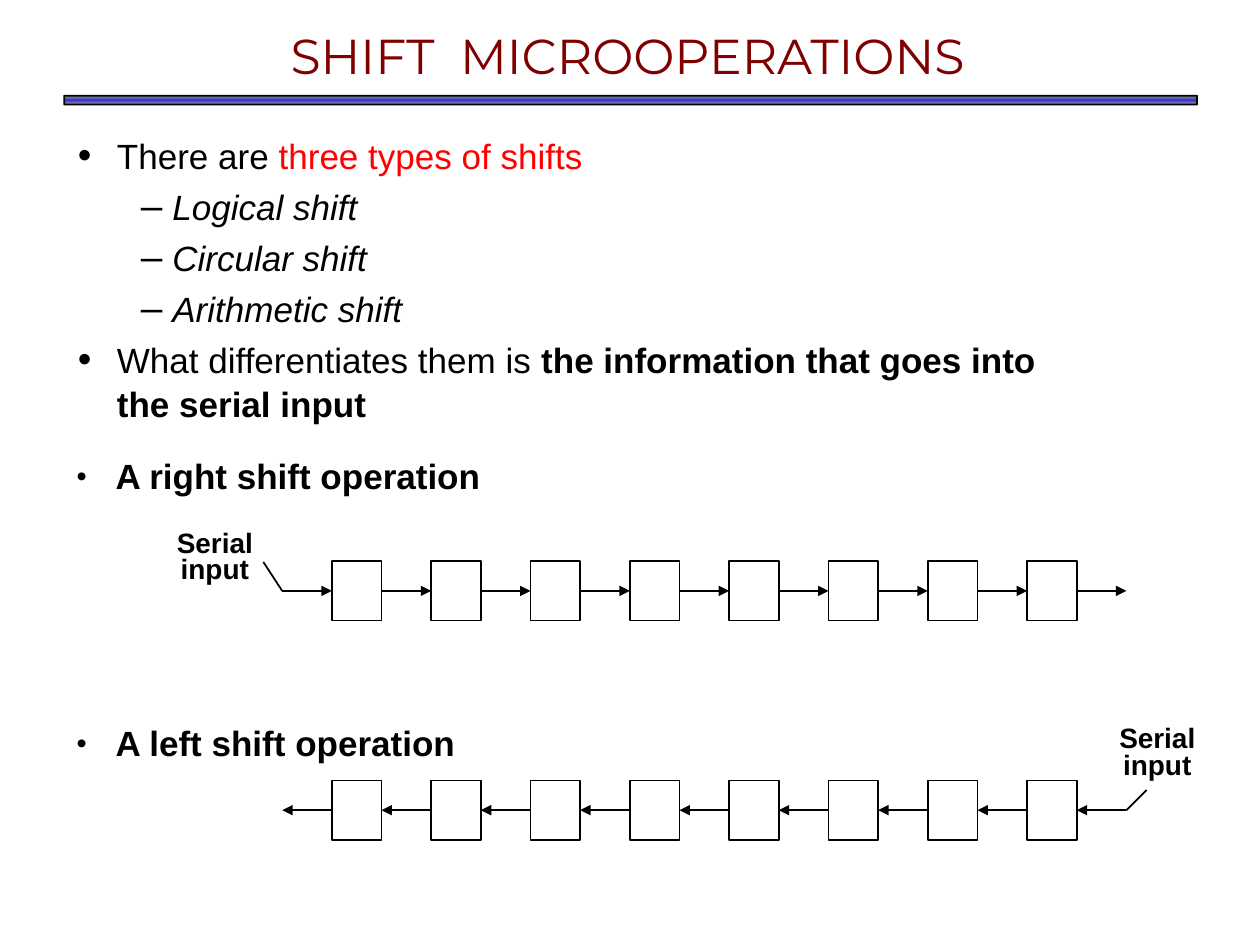
from copy import deepcopy

from lxml import etree
from pptx import Presentation
from pptx.dml.color import RGBColor
from pptx.enum.shapes import MSO_CONNECTOR, MSO_SHAPE
from pptx.enum.text import MSO_ANCHOR, MSO_AUTO_SIZE, PP_ALIGN
from pptx.oxml.ns import qn
from pptx.util import Inches, Pt

ROUNDED = MSO_SHAPE.ROUNDED_RECTANGLE
STRAIGHT = MSO_CONNECTOR.STRAIGHT
TOP, NO_FIT = MSO_ANCHOR.TOP, MSO_AUTO_SIZE.NONE
LEFT, CENTER = PP_ALIGN.LEFT, PP_ALIGN.CENTER
color = RGBColor.from_string


def write(frame, paragraphs, size=20, font="Arial", align=LEFT, spacing=1.0, before=0,
          bullet_size=100, wrap=True, inset=(0.1, 0.05)):
    """Each paragraph is (runs, bullet, indent, hanging); each run is (text, colour, bold, italic)."""
    frame.word_wrap, frame.auto_size, frame.vertical_anchor = wrap, NO_FIT, TOP
    frame.margin_left = frame.margin_right = Inches(inset[0])
    frame.margin_top = frame.margin_bottom = Inches(inset[1])
    for number, (runs, bullet, indent, hanging) in enumerate(paragraphs):
        paragraph = frame.add_paragraph() if number else frame.paragraphs[0]
        paragraph.alignment = align
        paragraph.line_spacing = spacing
        paragraph.space_before = Pt(before if number else 0)
        for text, ink, bold, italic in runs:
            run = paragraph.add_run()
            run.text = text
            run.font.size, run.font.name = Pt(size), font
            run.font.bold, run.font.italic = bold, italic
            run.font.color.rgb = color(ink)
        if bullet:
            props = paragraph._p.get_or_add_pPr()
            props.set("marL", str(Inches(indent)))
            props.set("indent", str(-Inches(hanging)))
            etree.SubElement(props, qn("a:buSzPct")).set("val", str(bullet_size * 1000))
            etree.SubElement(props, qn("a:buFont")).set("typeface", font)
            etree.SubElement(props, qn("a:buChar")).set("char", bullet)


def connect(start, end, arrow=True):
    wire = slide.shapes.add_connector(STRAIGHT, *map(Inches, start + end))
    wire.line.color.rgb = color("000000")
    wire.line.width = Pt(1)
    props = wire._element.spPr
    if arrow:
        etree.SubElement(props.find(qn("a:ln")), qn("a:tailEnd")).set("type", "triangle")
    etree.SubElement(props, qn("a:effectLst"))


deck = Presentation()
deck.slide_width, deck.slide_height = Inches(10), Inches(7.5)
slide = deck.slides.add_slide(deck.slide_layouts[5])

# Title and the bar below it
title = slide.shapes.title
title.left, title.top, title.width, title.height = map(Inches, (0.49, 0.17, 8.98, 0.37))
write(title.text_frame, [([("SHIFT  MICROOPERATIONS", "800000", False, False)], None, 0, 0)],
      size=28, font="Montserrat", align=CENTER, inset=(0.07, 0.03))

bar = slide.shapes.add_shape(ROUNDED, *map(Inches, (0.51, 0.76, 8.99, 0.07)))
bar.adjustments[0] = 0.03
bar.shadow.inherit = False
bar.line.color.rgb = color("000000")
bar.line.width = Pt(1)
bar.fill.gradient()
bar.fill.gradient_angle = 90
edge, middle = bar.fill.gradient_stops
edge.color.rgb, middle.color.rgb = color("969696"), color("3333CC")
middle.position = 0.5
stops = bar._element.spPr.find(qn("a:gradFill")).find(qn("a:gsLst"))
stops.append(deepcopy(stops[0]))
stops[-1].set("pos", "100000")

# Types of shifts
shift_types = [([(f"{kind} shift", "000000", False, True)], "–", 0.75, 0.25)
               for kind in ("Logical", "Circular", "Arithmetic")]
overview = [
    ([("There are ", "000000", False, False),
      ("three types of shifts", "FF0000", False, False)], "•", 0.31, 0.31),
    *shift_types,
    ([("What differentiates them is ", "000000", False, False),
      ("the information that goes into the serial input", "000000", True, False)],
     "•", 0.31, 0.31),
]
types_box = slide.shapes.add_textbox(*map(Inches, (0.52, 1, 8.1, 2.59)))
write(types_box.text_frame, overview, spacing=1.05, before=3.9, bullet_size=111)

# Headings of the two operations
operations = [([(f"A {side} shift operation", "000000", True, False)], "•", 0.31, 0.31)
              for side in ("right", "left")]
operations_box = slide.shapes.add_textbox(*map(Inches, (0.51, 3.59, 5, 2.5)))
write(operations_box.text_frame, operations, spacing=0.93, before=130, bullet_size=83)

# Registers: 17 equal columns, arrows in the even ones and bits in the odd ones
COLUMNS, ROW_LEFT, ROW_RIGHT, BIT_HEIGHT = 17, 2.24, 8.94, 0.47
COLUMN = (ROW_RIGHT - ROW_LEFT) / COLUMNS
serial_input = [([(word, "000000", True, False)], None, 0, 0) for word in ("Serial", "input")]

# Row middle, arrows point right, where the serial input enters, its outer end, label corner
registers = [
    (4.69, True, ROW_LEFT, (2.09, 4.46), (1.3, 4.17)),
    (6.43, False, ROW_RIGHT, (9.1, 6.27), (8.78, 5.72)),
]
for middle_y, rightward, entry, outer_end, label_corner in registers:
    for column in range(COLUMNS):
        x = ROW_LEFT + column * COLUMN
        if column % 2:
            bit = slide.shapes.add_shape(ROUNDED, Inches(x), Inches(middle_y - BIT_HEIGHT / 2),
                                         Inches(COLUMN), Inches(BIT_HEIGHT))
            bit.adjustments[0] = 0
            bit.shadow.inherit = False
            bit.fill.background()
            bit.line.color.rgb = color("000000")
            bit.line.width = Pt(1)
        else:
            ends = [(x, middle_y), (x + COLUMN, middle_y)]
            connect(*(ends if rightward else ends[::-1]))
    connect((entry, middle_y), outer_end, arrow=False)
    label = slide.shapes.add_textbox(*map(Inches, label_corner + (0.81, 0.57)))
    write(label.text_frame, serial_input, size=16, align=CENTER, spacing=0.8, wrap=False)

deck.save("out.pptx")
